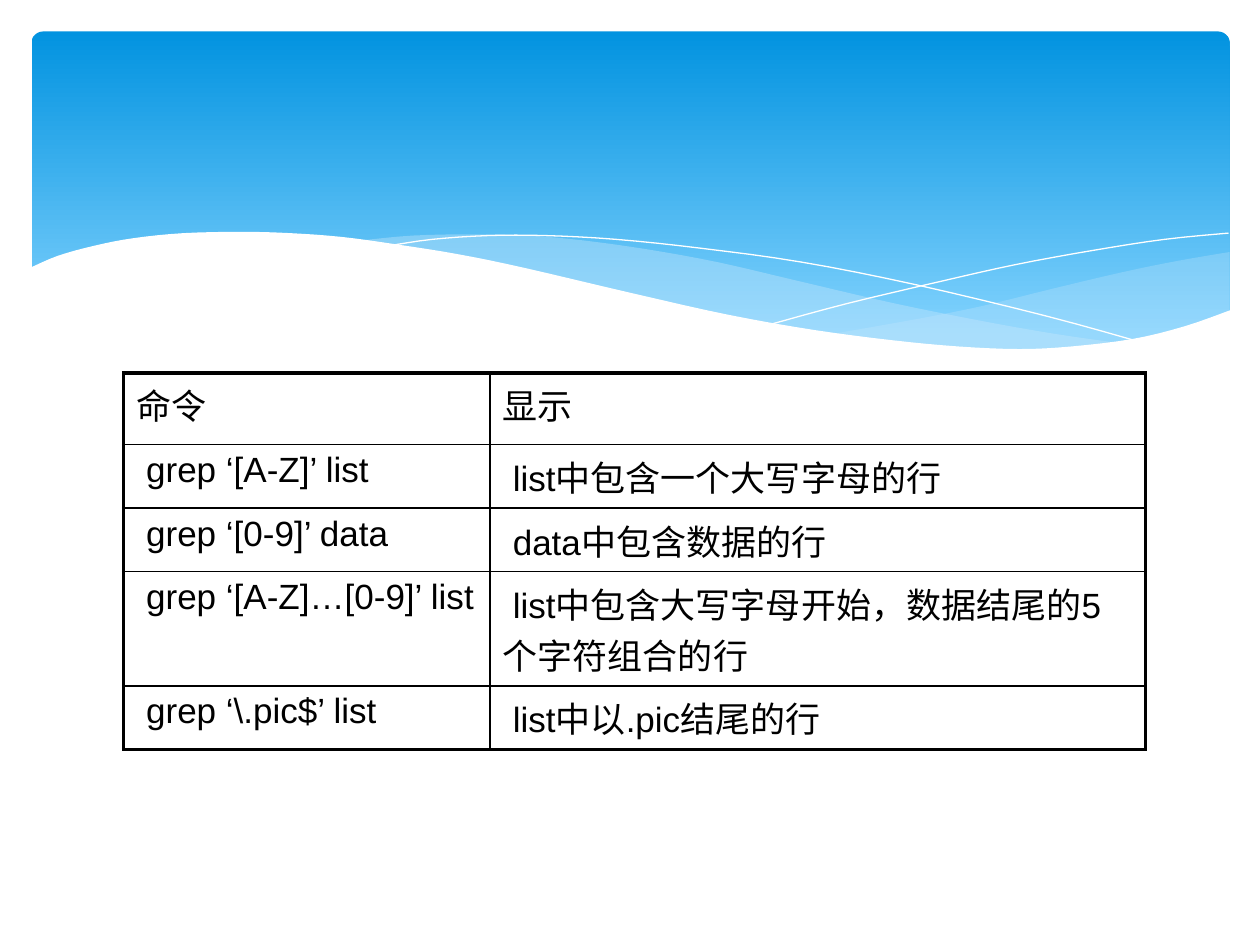
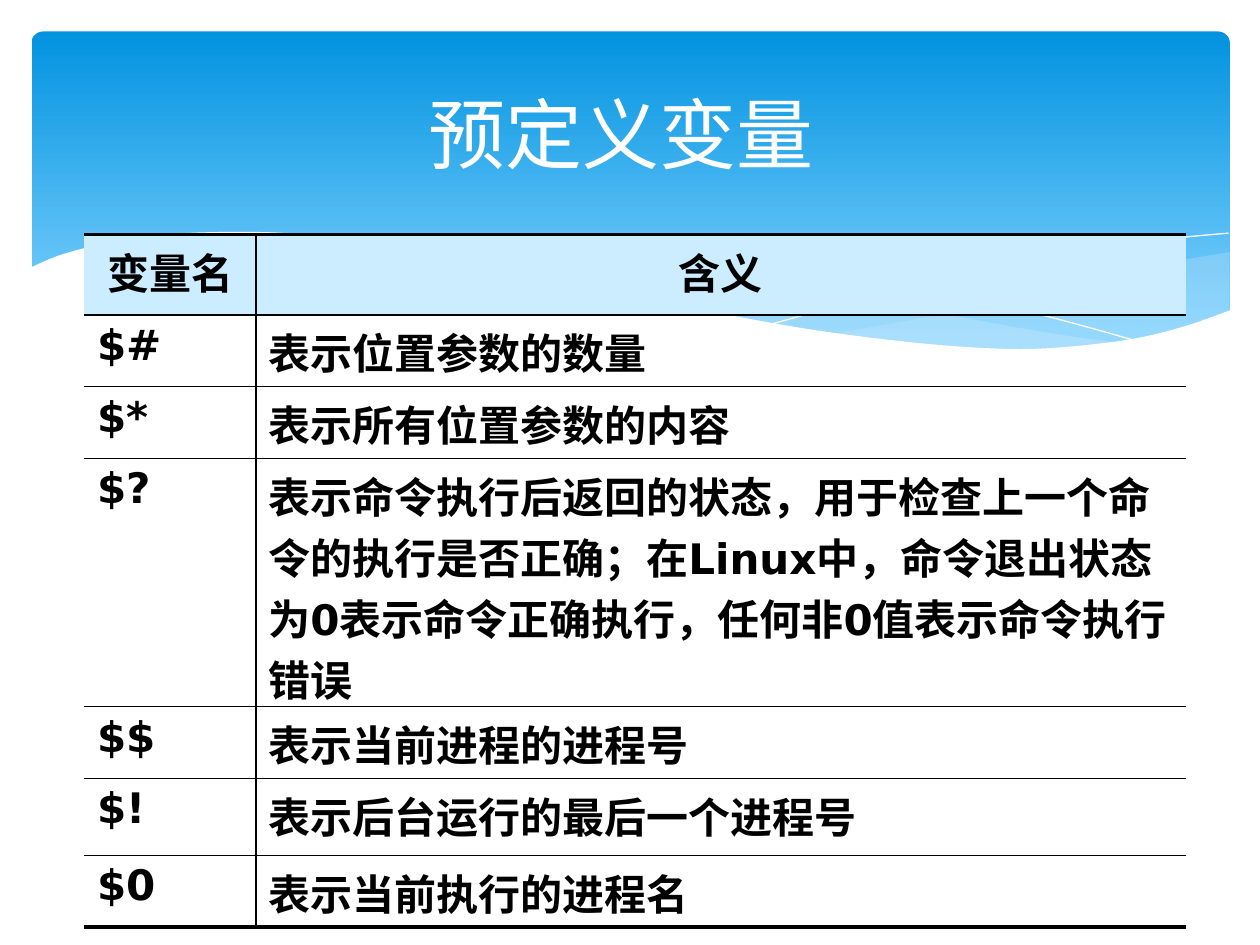
from lxml import etree
from pptx import Presentation
from pptx import util as u
from pptx.dml.color import RGBColor
from pptx.enum import shapes, text
from pptx.oxml import ns

COLUMN = u.Inches(1)
ROW = u.Inches(1)
COLUMNS, ROWS = 10, 7.5

BLACK = RGBColor(0x00, 0x00, 0x00)
WHITE = RGBColor(0xFF, 0xFF, 0xFF)
SKY_DEEP = RGBColor(0x02, 0x93, 0xE0)
SKY_LIGHT = RGBColor(0x83, 0xD3, 0xFE)
SWELL = RGBColor(0xC6, 0xE7, 0xFC)
HEADER_CELL = RGBColor(0xCC, 0xEC, 0xFF)

THIN, THICK = 1, 2.25
HEADER_BOX = (0, 0, COLUMNS, 3.3)
TITLE_BOX = (0.5, 0.37, 9, 1.37)

RIGHT_SWELL_TOP = [(9.76, 2), (9.35, 2.07), (8.91, 2.16), (8.32, 2.3),
                   (7.79, 2.43), (7.29, 2.53), (6.61, 2.65)]
RIGHT_SWELL_BASE = [(6.61, 2.65), (7.05, 2.71), (7.45, 2.75), (8.03, 2.78),
                    (8.54, 2.76), (8.97, 2.7), (9.35, 2.62), (9.76, 2.47)]
LONG_SWELL_TOP = [(8.93, 2.73), (8.37, 2.65), (7.75, 2.54), (7.06, 2.4),
                  (6.29, 2.22), (5.69, 2.08), (5.14, 1.98), (4.64, 1.91),
                  (4.2, 1.87), (3.8, 1.86), (3.28, 1.87), (2.86, 1.91)]
LONG_SWELL_BASE = [(2.86, 1.91), (3.42, 1.99), (4.04, 2.11), (4.91, 2.32),
                   (5.66, 2.48), (6.34, 2.61), (6.95, 2.7), (7.48, 2.76),
                   (8.07, 2.79), (8.57, 2.77), (8.93, 2.73)]
FALLING_CREST = [(3.09, 1.95), (3.43, 1.9), (3.87, 1.87), (4.33, 1.87),
                 (4.89, 1.9), (5.56, 1.97), (6.36, 2.08), (7.27, 2.26),
                 (8.31, 2.51), (9.07, 2.72)]
RISING_CREST = [(6.13, 2.57), (6.72, 2.41), (7.48, 2.23), (8.06, 2.1),
                (8.66, 1.99), (9.24, 1.9), (9.75, 1.85)]
SHORELINE = [(9.77, 2.46), (9.4, 2.59), (8.99, 2.69), (8.5, 2.75),
             (8.09, 2.77), (7.61, 2.75), (7.08, 2.7), (6.47, 2.62),
             (5.79, 2.5), (5.03, 2.33), (4.18, 2.13), (3.65, 2.02),
             (3.15, 1.94), (2.71, 1.88), (2.3, 1.85), (1.93, 1.84),
             (1.46, 1.85), (1.06, 1.89), (0.75, 1.95), (0.46, 2.03),
             (0.23, 2.13)]
SHORE_BASE = [(0.23, 3.29), (9.77, 3.29)]

GREP_ROWS = [
    ("命令", "显示"),
    ("grep ‘[A-Z]’ list", "list中包含一个大写字母的行"),
    ("grep ‘[0-9]’ data", "data中包含数据的行"),
    ("grep ‘[A-Z]…[0-9]’ list", "list中包含大写字母开始，数据结尾的5个字符组合的行"),
    ("grep ‘\\.pic$’ list", "list中以.pic结尾的行"),
]
VARIABLE_ROWS = [
    ("变量名", "含义"),
    ("$#", "表示位置参数的数量"),
    ("$*", "表示所有位置参数的内容"),
    ("$?", "表示命令执行后返回的状态，用于检查上一个命令的执行是否正确；"
           "在Linux中，命令退出状态为0表示命令正确执行，任何非0值表示命令执行错误"),
    ("$$", "表示当前进程的进程号"),
    ("$!", "表示后台运行的最后一个进程号"),
    ("$0", "表示当前执行的进程名"),
]


def place(box):
    """Turn a box in columns and rows into slide lengths."""
    left, top, width, height = box
    return (round(left * COLUMN), round(top * ROW),
            round(width * COLUMN), round(height * ROW))


def smooth(knots, steps=4):
    """Return points on a Catmull-Rom curve through the knots."""
    padded = [knots[0], *knots, knots[-1]]
    points = [knots[0]]
    for a, b, c, d in zip(padded, padded[1:], padded[2:], padded[3:]):
        for step in range(1, steps + 1):
            t = step / steps
            points.append(tuple(
                (2 * q + (r - p) * t + (2 * p - 5 * q + 4 * r - s) * t ** 2
                 + (3 * q - p - 3 * r + s) * t ** 3) / 2
                for p, q, r, s in zip(a, b, c, d)))
    return points


def draw_outline(slide, box, points, closed):
    """Draw a freeform through points counted from the corner of the box."""
    spots = [place((box[0] + x, box[1] + y, 0, 0))[:2] for x, y in points]
    builder = slide.shapes.build_freeform(*spots[0])
    builder.add_line_segments(spots[1:], close=closed)
    outline = builder.convert_to_shape()
    outline.shadow.inherit = False
    return outline


def draw_area(slide, box, points, color, opacity=100):
    """Draw a filled wave without an edge."""
    area = draw_outline(slide, box, points, True)
    area.fill.solid()
    area.fill.fore_color.rgb = color
    area.line.fill.background()
    if opacity < 100:
        tint = area.fill._xPr.find(".//" + ns.qn("a:srgbClr"))
        etree.SubElement(tint, ns.qn("a:alpha"), val=str(opacity * 1000))


def draw_crest(slide, box, knots):
    """Draw a white hairline along a wave."""
    crest = draw_outline(slide, box, smooth(knots), False)
    crest.fill.background()
    crest.line.color.rgb = WHITE
    crest.line.width = 0


def draw_header(slide, box):
    """Draw the blue sky band and the waves below it."""
    left, top, width, height = box
    sky = slide.shapes.add_shape(
        shapes.MSO_SHAPE.ROUNDED_RECTANGLE,
        *place((left + 0.25, top + 0.25, width - 0.49, height - 0.6)))
    sky.adjustments[0] = 0.034
    sky.shadow.inherit = False
    sky.line.fill.background()
    sky.fill.gradient()
    sky.fill.gradient_angle = 270
    for stop, color, position in zip(
            sky.fill.gradient_stops, (SKY_DEEP, SKY_LIGHT), (0, 0.9)):
        stop.color.rgb = color
        stop.position = position
    draw_area(slide, box, smooth(RIGHT_SWELL_TOP) + smooth(RIGHT_SWELL_BASE), SWELL, 29)
    draw_area(slide, box, smooth(LONG_SWELL_TOP) + smooth(LONG_SWELL_BASE), SWELL, 40)
    draw_crest(slide, box, FALLING_CREST)
    draw_crest(slide, box, RISING_CREST)
    draw_area(slide, box, smooth(SHORELINE) + SHORE_BASE, WHITE)


def style_font(font, name, size, color, bold=False):
    """Set the look of a run."""
    font.name, font.size, font.bold = name, u.Pt(size), bold
    font.color.rgb = color


def draw_title(slide, box, wording):
    """Write the slide title in the sky band."""
    title = slide.shapes.add_textbox(*place(box)).text_frame
    title.word_wrap = True
    title.margin_right = u.Inches(0.24)
    title.vertical_anchor = text.MSO_ANCHOR.MIDDLE
    line = title.paragraphs[0]
    line.text = wording
    line.alignment = text.PP_ALIGN.CENTER
    style_font(line.runs[0].font, "Calibri", 44, WHITE)


def rule_cell(cell, **widths):
    """Set the four borders of a cell; a width of 0 leaves the side open."""
    properties = cell._tc.get_or_add_tcPr()
    for side in "LRTB":
        width = widths[side]
        edge = etree.SubElement(properties, ns.qn("a:ln" + side), w=str(u.Pt(width)))
        if width:
            ink = etree.SubElement(edge, ns.qn("a:solidFill"))
            etree.SubElement(ink, ns.qn("a:srgbClr"), val=str(BLACK))
        else:
            etree.SubElement(edge, ns.qn("a:noFill"))


def draw_table(slide, box, entries, columns, rows, font_name, size, bold=False,
               side_rule=0, header_fill=None, header_align=None, indent=0):
    """Draw a ruled table with a heavy top and bottom edge."""
    table = slide.shapes.add_table(len(rows), len(columns), *place(box)).table
    table.first_row = table.horz_banding = False
    for column, width in zip(table.columns, columns):
        column.width = round(width * COLUMN)
    for row, height in zip(table.rows, rows):
        row.height = round(height * ROW)
    last_row, last_column = len(rows) - 1, len(columns) - 1
    for r, entry in enumerate(entries):
        for c, wording in enumerate(entry):
            cell = table.cell(r, c)
            rule_cell(cell,
                      L=THIN if c else side_rule,
                      R=THIN if c < last_column else side_rule,
                      T=THIN if r else THICK,
                      B=THIN if r < last_row else THICK)
            line = cell.text_frame.paragraphs[0]
            line.text = wording
            style_font(line.runs[0].font, font_name, size, BLACK, bold)
            if r == 0 and header_align is not None:
                line.alignment = header_align
            if r and indent:
                line._p.get_or_add_pPr().set("indent", str(u.Inches(indent)))
            if r == 0 and header_fill is not None:
                cell.fill.solid()
                cell.fill.fore_color.rgb = header_fill
            else:
                cell.fill.background()


def add_wave_slide(deck):
    """Add a blank slide with the shared header."""
    slide = deck.slides.add_slide(deck.slide_layouts[6])
    draw_header(slide, HEADER_BOX)
    return slide


def add_grep_slide(deck):
    """Add the slide of grep commands."""
    draw_table(add_wave_slide(deck), (0.98, 2.96, 8.11, 2.67), GREP_ROWS,
               columns=(2.91, 5.2), rows=(0.57, 0.47, 0.43, 0.77, 0.43),
               font_name="Arial", size=20, side_rule=THICK, indent=0.08)


def add_variable_slide(deck):
    """Add the slide of predefined shell variables."""
    slide = add_wave_slide(deck)
    draw_title(slide, TITLE_BOX, "预定义变量")
    draw_table(slide, (0.67, 1.86, 8.74, 5.5), VARIABLE_ROWS,
               columns=(1.36, 7.38), rows=(0.64, 0.57, 0.57, 1.97, 0.57, 0.61, 0.57),
               font_name="DejaVu Sans", size=24, bold=True,
               header_fill=HEADER_CELL, header_align=text.PP_ALIGN.CENTER)


def main():
    """Build and save the deck."""
    deck = Presentation()
    deck.slide_width = round(COLUMNS * COLUMN)
    deck.slide_height = round(ROWS * ROW)
    add_grep_slide(deck)
    add_variable_slide(deck)
    deck.save("out.pptx")


if __name__ == "__main__":
    main()
